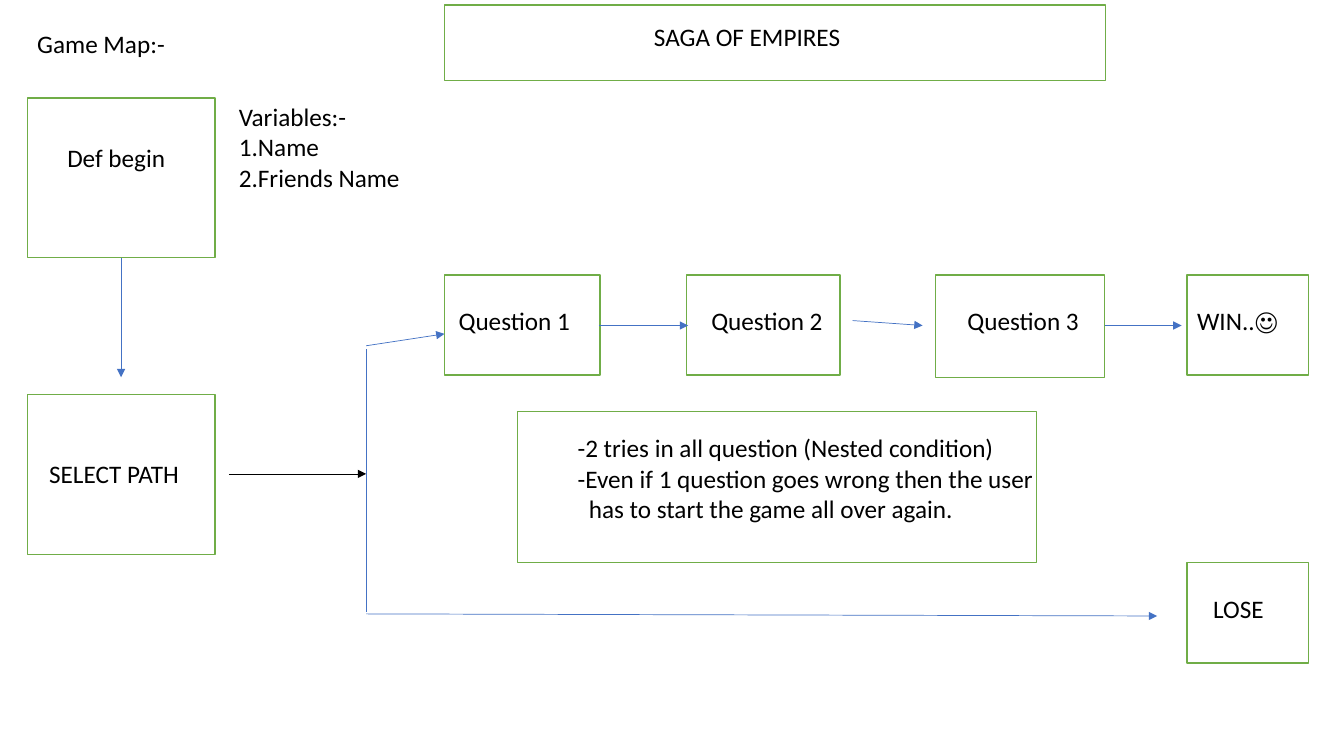
from dataclasses import dataclass
from pptx import Presentation
from pptx.dml.color import RGBColor as Rgb
from pptx.enum.shapes import MSO_CONNECTOR as Conn, MSO_SHAPE as Shape
from pptx.oxml.ns import qn
from pptx.util import Pt
from lxml.etree import SubElement as sub


@dataclass(frozen=True)
class Theme:
    font: str = "Calibri"
    size: float = 18
    ink: str = "000000"
    paper: str = "FFFFFF"
    green: str = "70AD47"
    blue: str = "4472C4"
    edge: float = 1
    thin: float = 0.5


class Chart:
    """Draws flow chart parts on one slide, with lengths in points."""

    def __init__(self, slide, theme):
        self.slide, self.theme = slide, theme

    def box(self, x, y, w, h):
        rect = self.slide.shapes.add_shape(Shape.RECTANGLE, Pt(x), Pt(y), Pt(w), Pt(h))
        rect.shadow.inherit = False
        rect.fill.solid()
        rect.fill.fore_color.rgb = Rgb.from_string(self.theme.paper)
        rect.line.color.rgb = Rgb.from_string(self.theme.green)
        rect.line.width = Pt(self.theme.edge)

    def text(self, words, x, y, w, h=29, size=None, color=None, hang=()):
        frame = self.slide.shapes.add_textbox(Pt(x), Pt(y), Pt(w), Pt(h)).text_frame
        frame.word_wrap = True
        frame.text = words
        for row, para in enumerate(frame.paragraphs):
            font = para.font
            font.name = self.theme.font
            font.size = Pt(size or self.theme.size)
            font.color.rgb = Rgb.from_string(color or self.theme.ink)
            if row in hang:
                para._p.get_or_add_pPr().set("marL", str(Pt(8)))

    def line(self, x1, y1, x2, y2, color=None, arrow=True):
        link = self.slide.shapes.add_connector(Conn.STRAIGHT, Pt(x1), Pt(y1), Pt(x2), Pt(y2))
        link.line.color.rgb = Rgb.from_string(color or self.theme.blue)
        link.line.width = Pt(self.theme.thin)
        if arrow:
            sub(link.line._get_or_add_ln(), qn("a:tailEnd"), type="triangle")
        sub(link._element.spPr, qn("a:effectLst"))


deck = Presentation()
deck.slide_width, deck.slide_height = Pt(960), Pt(540)
theme = Theme()
chart = Chart(deck.slides.add_slide(deck.slide_layouts[6]), theme)

left, mid, right = 19.5, 317.5, 848
ask, lose = 196.5, 402
fork, high, low = 261.5, 247, 438.5

for y in (70, 282):
    chart.box(left, y, 134, 114)
chart.text("Game Map:-", left, 16.5, 144)
chart.text("Def begin", 41, 98, 108)
chart.text("SELECT PATH", 28, 324, 117.5)
chart.text("Variables:-\n1.Name\n2.Friends Name", 163.5, 69, 140.5, 94)

steps = [
    ("Question 1", mid, ask, 111, 71.5, 3),
    ("Question 2", 490.5, ask, 109.5, 71.5, 10.5),
    ("Question 3", 668, ask, 121, 73, 16),
    ("WIN..☺", right, ask, 86.5, 71.5, 0),
    ("LOSE", right, lose, 86.5, 71.5, 11.5),
]
for words, x, y, w, h, inset in steps:
    chart.box(x, y, w, h)
    chart.text(words, x + inset, y + 18, 105)

chart.box(369.5, 294, 371, 108)
note = """-2 tries in all question (Nested condition)
-Even if 1 question goes wrong then the user
has to start the game all over again."""
chart.text(note, 405.5, 305.5, 355.5, 94, hang=(2,))

chart.box(mid, 3.5, 472, 54)
chart.text("SAGA OF EMPIRES", 460, 12, 413)

arrows = [
    (86.5, 184, 86.5, 269.5),
    (fork, high, mid, 238.5),
    (428, 232.5, 491.5, 232.5),
    (609, 229, 659, 232.5),
    (789, 232.5, 844, 232.5),
    (fork, low, 826.5, 440),
]
for ends in arrows:
    chart.line(*ends)
chart.line(163.5, 338.5, fork, 338.5, color=theme.ink)
for y in (249, 437):
    chart.line(fork, 338.5, fork, y, arrow=False)

deck.save("out.pptx")
